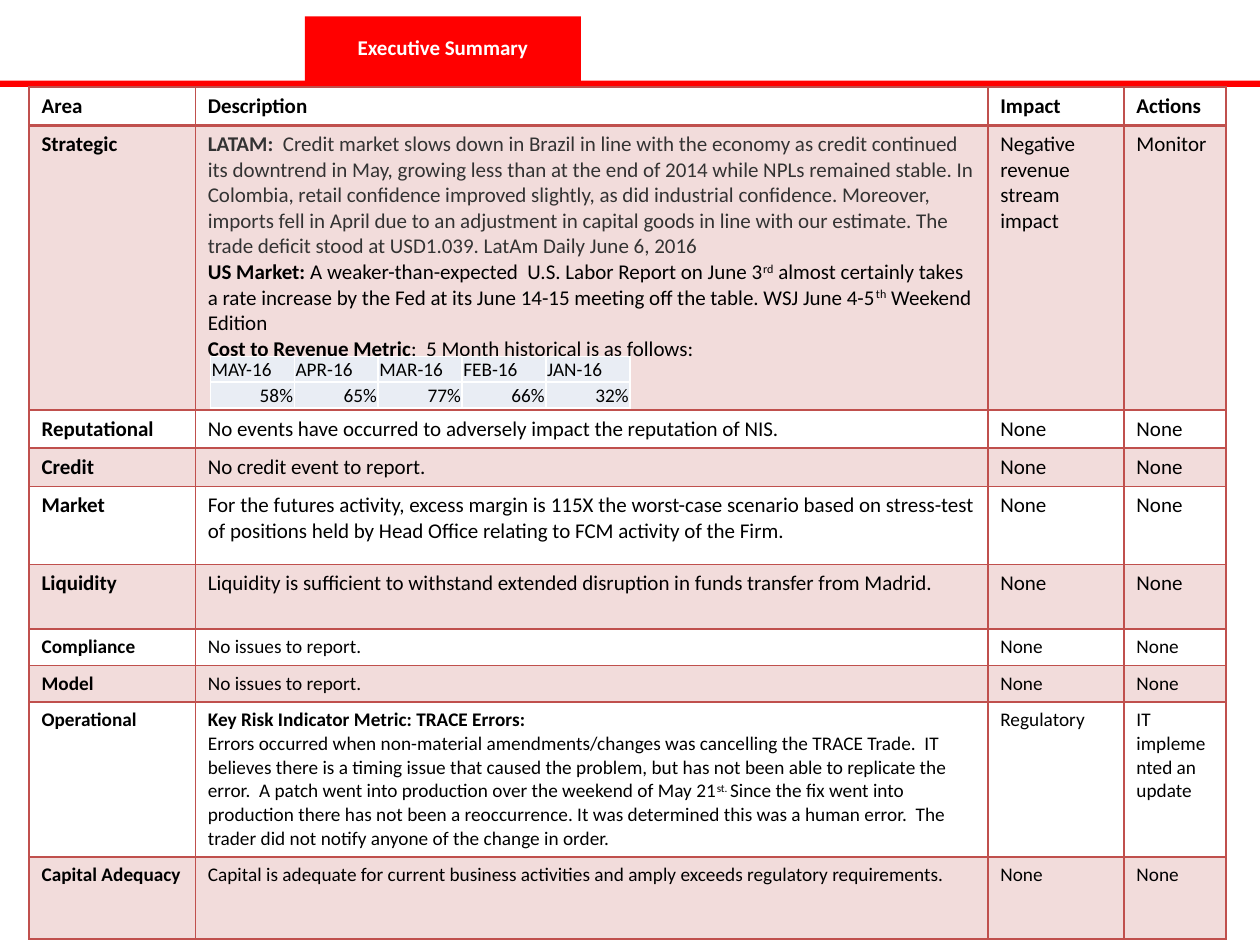
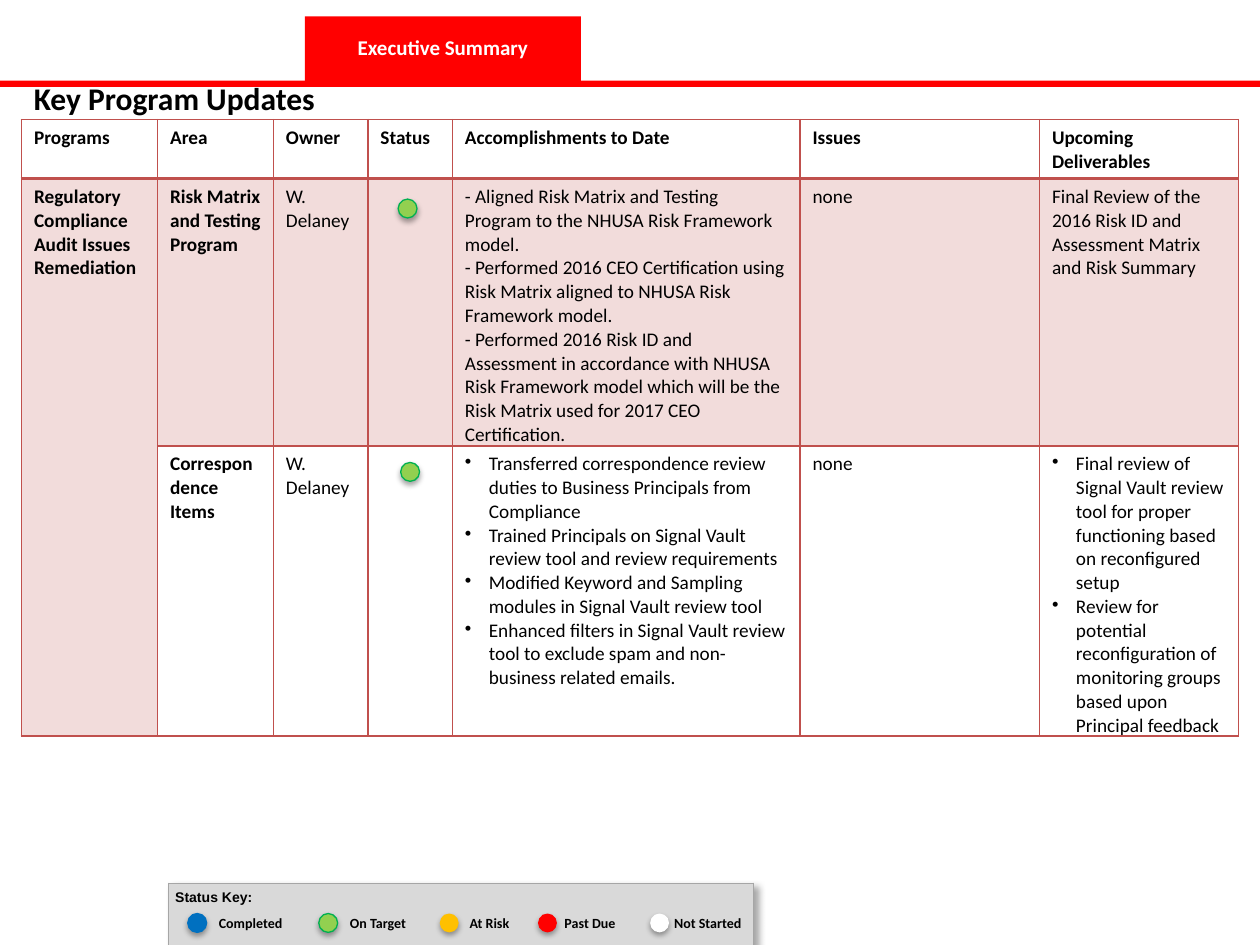
from dataclasses import dataclass

from lxml import etree
from pptx import Presentation
from pptx.dml.color import RGBColor
from pptx.enum.shapes import MSO_SHAPE
from pptx.enum.text import MSO_ANCHOR, MSO_AUTO_SIZE, PP_ALIGN
from pptx.oxml import parse_xml
from pptx.oxml.ns import nsdecls, qn
from pptx.util import Inches, Pt

RECTANGLE, ROUNDED = MSO_SHAPE.RECTANGLE, MSO_SHAPE.ROUNDED_RECTANGLE
MIDDLE, BOTTOM = MSO_ANCHOR.MIDDLE, MSO_ANCHOR.BOTTOM
LEFT, CENTER, RIGHT, JUSTIFY = PP_ALIGN.LEFT, PP_ALIGN.CENTER, PP_ALIGN.RIGHT, PP_ALIGN.JUSTIFY
FIT_SHAPE, NO_FIT = MSO_AUTO_SIZE.SHAPE_TO_FIT_TEXT, MSO_AUTO_SIZE.NONE
PLAIN_TABLE_STYLE = "{2D5ABB26-0587-4C30-8999-92F81FD0307C}"
TITLE_ONLY = 5


@dataclass(frozen=True)
class Theme:
    font: str = "Calibri"
    key_font: str = "Arial"
    black: str = "000000"
    white: str = "FFFFFF"
    red: str = "FF0000"
    rule: str = "C0504D"
    quote: str = "333333"
    metric_fill: str = "E9EDF4"
    key_fill: str = "D9D9D9"
    key_rule: str = "A6A6A6"
    blue: str = "0070C0"
    green: str = "92D050"
    green_line: str = "00B050"
    amber: str = "FFC000"
    heading: int = 18
    body: int = 12
    small: int = 11
    label: int = 8


THEME = Theme()
BOLD, REGULAR, RAISED = {"bold": True}, {"bold": False}, {"raised": True}

RISK_ROWS = [
    ["Area", "Description", "Impact", "Actions"],
    ["Strategic", [
        [("LATAM:  ", {"bold": True, "color": THEME.quote}),
         ("Credit market slows down in Brazil in line with the economy as credit continued its "
          "downtrend in May, growing less than at the end of 2014 while NPLs remained stable. In "
          "Colombia, retail confidence improved slightly, as did industrial confidence. Moreover, "
          "imports fell in April due to an adjustment in capital goods in line with our estimate. "
          "The trade deficit stood at USD1.039. LatAm Daily June 6, 2016", {"color": THEME.quote})],
        [("US Market: ", BOLD),
         ("A weaker-than-expected  U.S. Labor Report on June 3", {}), ("rd", RAISED),
         (" almost certainly takes a rate increase by the Fed at its June 14-15 meeting off the "
          "table. WSJ June 4-5", {}), ("th", RAISED), (" Weekend Edition", {})],
        [("Cost to Revenue Metric", BOLD), (":  5 Month historical is as follows:", {})],
    ], "Negative revenue stream impact", "Monitor"],
    ["Reputational", "No events have occurred to adversely impact the reputation of NIS.",
     "None", "None"],
    ["Credit", "No credit event to report.", "None", "None"],
    ["Market", "For the futures activity, excess margin is 115X the worst-case scenario based on "
     "stress-test of positions held by Head Office relating to FCM activity of the Firm.",
     "None", "None"],
    ["Liquidity", "Liquidity is sufficient to withstand extended disruption in funds transfer "
     "from Madrid.", "None", "None"],
    ["Compliance", "No issues to report.", "None", "None"],
    ["Model", "No issues to report.", "None", "None"],
    ["Operational", [
        [("Key Risk Indicator Metric: TRACE Errors:", BOLD)],
        [("Errors occurred when non-material amendments/changes was cancelling the TRACE Trade.  "
          "IT believes there is a timing issue that caused the problem, but has not been able to "
          "replicate the error.  A patch went into production over the weekend of May 21", {}),
         ("st. ", RAISED),
         ("Since the fix went into production there has not been a reoccurrence. It was determined "
          "this was a human error.  The trader did not notify anyone of the change in order.", {})],
    ], "Regulatory", "IT implemented an update"],
    ["Capital Adequacy", "Capital is adequate for current business activities and amply exceeds "
     "regulatory requirements.", "None", "None"],
]
RISK_HEIGHTS = [0.3, 2.26, 0.3, 0.3, 0.62, 0.51, 0.29, 0.29, 1.23, 0.65]
FIRST_SMALL_ROW = 6
JUSTIFIED_ROWS = (2, 4)

COST_ROWS = [["MAY-16", "APR-16", "MAR-16", "FEB-16", "JAN-16"],
             ["58%", "65%", "77%", "66%", "32%"]]

PROGRAM_ROWS = [
    ["Programs", "Area", "Owner", "Status", "Accomplishments to Date", "Issues",
     "Upcoming Deliverables"],
    ["Regulatory Compliance Audit Issues Remediation", "Risk Matrix and Testing Program",
     "W. Delaney", None,
     ["- Aligned Risk Matrix and Testing Program to the NHUSA Risk Framework model.",
      "- Performed 2016 CEO Certification using Risk Matrix aligned to NHUSA Risk Framework model.",
      "- Performed 2016 Risk ID and Assessment in accordance with NHUSA Risk Framework model which "
      "will be the Risk Matrix used for 2017 CEO Certification."],
     "none", "Final Review of the 2016 Risk ID and Assessment Matrix and Risk Summary"],
    [None, "Correspondence Items", "W. Delaney", None,
     ["Transferred correspondence review duties to Business Principals from Compliance",
      "Trained Principals on Signal Vault review tool and review requirements",
      "Modified Keyword and Sampling modules in Signal Vault review tool",
      "Enhanced filters in Signal Vault review tool to exclude spam and non-business related "
      "emails."],
     "none",
     ["Final review of Signal Vault review tool for proper functioning based on reconfigured setup",
      "Review for potential reconfiguration of monitoring groups based upon Principal feedback"]],
]
BULLET_ROW = 2

# label, fill, line, dot left, label left, label width, alignment
STATUS_KEY = [
    ("Completed", THEME.blue, THEME.blue, 1.49, 1.61, 0.76, CENTER),
    ("On Target", THEME.green, THEME.green_line, 2.53, 2.67, 0.66, CENTER),
    ("At Risk", THEME.amber, None, 3.49, 3.65, 0.47, CENTER),
    ("Past Due", THEME.red, None, 4.27, 4.48, 0.52, LEFT),
    ("Not Started", THEME.white, None, 5.16, 5.35, 0.63, LEFT),
]


def rgb(color):
    return RGBColor.from_string(color)


def add_bullet(paragraph):
    properties = paragraph._p.get_or_add_pPr()
    properties.set("marL", str(Inches(0.19)))
    properties.set("indent", str(-Inches(0.19)))
    etree.SubElement(properties, qn("a:buChar")).set("char", "•")


def write_text(frame, text, *, size=THEME.body, font=THEME.font, color=THEME.black, bold=False,
               align=LEFT, bullet=False, line_spacing=None):
    """Text is a string or a list of paragraphs, each a string or a list of (text, format) runs."""
    for index, content in enumerate([text] if isinstance(text, str) else text):
        paragraph = frame.add_paragraph() if index else frame.paragraphs[0]
        paragraph.alignment = align
        if line_spacing:
            paragraph.line_spacing = Pt(line_spacing)
        if bullet:
            add_bullet(paragraph)
        for words, changes in [(content, {})] if isinstance(content, str) else content:
            run = paragraph.add_run()
            run.text = words
            run.font.name = font
            run.font.size = Pt(size)
            run.font.bold = changes.get("bold", bold)
            run.font.color.rgb = rgb(changes.get("color", color))
            if changes.get("raised"):
                run._r.get_or_add_rPr().set("baseline", "30000")


def shadow_effect(blur, distance, degrees):
    return parse_xml(
        f'<a:effectLst {nsdecls("a")}><a:outerShdw blurRad="{Pt(blur)}" dist="{Pt(distance)}" '
        f'dir="{degrees * 60000}" rotWithShape="0"><a:srgbClr val="{THEME.black}">'
        f'<a:alpha val="35000"/></a:srgbClr></a:outerShdw></a:effectLst>')


def add_filled_shape(shapes, kind, left, top, width, height, fill, line=None):
    shape = shapes.add_shape(kind, Inches(left), Inches(top), Inches(width), Inches(height))
    shape.shadow.inherit = False
    shape.fill.solid()
    shape.fill.fore_color.rgb = rgb(fill)
    if line:
        shape.line.color.rgb = rgb(line)
        shape.line.width = Pt(0.75)
    else:
        shape.line.fill.background()
    return shape


def add_status_dot(shapes, left, top, fill, line=None):
    dot = add_filled_shape(shapes, ROUNDED, left, top, 0.15, 0.15, fill, line)
    dot.adjustments[0] = 0.5
    properties = dot._element.spPr
    properties.replace(properties.find(qn("a:effectLst")), shadow_effect(3.1, 1.8, 90))


def add_text_box(shapes, text, left, top, width, height, *, wrap=True, margin=None, anchor=None,
                 **text_format):
    box = shapes.add_textbox(Inches(left), Inches(top), Inches(width), Inches(height))
    frame = box.text_frame
    frame.word_wrap = wrap
    frame.auto_size = FIT_SHAPE
    if margin is not None:
        frame.margin_left = frame.margin_right = Inches(margin)
        frame.margin_top = frame.margin_bottom = Inches(margin)
    if anchor is not None:
        frame.vertical_anchor = anchor
    write_text(frame, text, **text_format)


def add_tabbed_slide(presentation, title_text):
    """Add a slide whose title is a red tab standing on a red band."""
    slide = presentation.slides.add_slide(presentation.slide_layouts[TITLE_ONLY])
    title = slide.shapes.title
    title.left, title.top = Inches(2.42), Inches(0.13)
    title.width, title.height = Inches(2.19), Inches(0.55)
    title._element.spPr.append(parse_xml(
        f'<a:prstGeom {nsdecls("a")} prst="roundRect"><a:avLst>'
        '<a:gd name="adj" fmla="val 10000"/></a:avLst></a:prstGeom>'))
    title.fill.solid()
    title.fill.fore_color.rgb = rgb(THEME.red)
    title.text_frame.auto_size = NO_FIT
    title.text_frame.vertical_anchor = MIDDLE
    write_text(title.text_frame, title_text, color=THEME.white, bold=True, align=CENTER,
               line_spacing=10)
    add_filled_shape(slide.shapes, RECTANGLE, 0, 0.64, 10, 0.05, THEME.red)
    return slide


def set_borders(cell, color, widths):
    """Draw the left, right, top and bottom borders, in that order."""
    for side, width in zip("LRTB", widths):
        cell._tc.get_or_add_tcPr().append(parse_xml(
            f'<a:ln{side} {nsdecls("a")} w="{Pt(width)}"><a:solidFill><a:srgbClr val="{color}"/>'
            f'</a:solidFill></a:ln{side}>'))


def set_cell_fill(cell, color, opacity=None):
    cell.fill.solid()
    cell.fill.fore_color.rgb = rgb(color)
    if opacity:
        tint = cell._tc.tcPr.find(qn("a:solidFill"))[0]
        etree.SubElement(tint, qn("a:alpha")).set("val", str(opacity * 1000))


def add_grid(slide, left, top, widths, heights, color, line_width=1, header_width=None):
    """Add an unstyled table with ruled cells; header_width thickens the line below row 0."""
    frame = slide.shapes.add_table(len(heights), len(widths), Inches(left), Inches(top),
                                   Inches(sum(widths)), Inches(sum(heights)))
    table = frame.table
    table.first_row = table.horz_banding = False
    table._tbl.tblPr.find(qn("a:tableStyleId")).text = PLAIN_TABLE_STYLE
    for column, width in zip(table.columns, widths):
        column.width = Inches(width)
    for index, (row, height) in enumerate(zip(table.rows, heights)):
        row.height = Inches(height)
        above = header_width if header_width and index == 1 else line_width
        below = header_width if header_width and index == 0 else line_width
        for cell in row.cells:
            set_borders(cell, color, (line_width, line_width, above, below))
    return table


def add_banded_table(slide, left, top, widths, heights, rows, bold_columns, format_for):
    """Fill a table with tinted odd rows; format_for(row, column) gives extra text format."""
    table = add_grid(slide, left, top, widths, heights, THEME.rule, header_width=2)
    for row_index, row in enumerate(rows):
        for column_index, text in enumerate(row):
            cell = table.cell(row_index, column_index)
            if row_index % 2:
                set_cell_fill(cell, THEME.rule, opacity=20)
            else:
                cell.fill.background()
            if text:
                write_text(cell.text_frame, text,
                           bold=row_index == 0 or column_index < bold_columns,
                           **format_for(row_index, column_index))
    return table


def risk_format(row, column):
    return {"size": THEME.small if row >= FIRST_SMALL_ROW else THEME.body,
            "align": JUSTIFY if column == 1 and row in JUSTIFIED_ROWS else LEFT}


def program_format(row, column):
    return {"size": THEME.small, "bullet": row == BULLET_ROW and column in (4, 6)}


def add_cost_table(slide):
    table = add_grid(slide, 1.67, 2.83, [3.33 / 5] * 5, [0.2, 0.21], THEME.white)
    for row_index, row in enumerate(COST_ROWS):
        for column_index, text in enumerate(row):
            cell = table.cell(row_index, column_index)
            cell.margin_left = cell.margin_right = cell.margin_top = Inches(0.01)
            cell.margin_bottom = 0
            cell.vertical_anchor = BOTTOM
            set_cell_fill(cell, THEME.metric_fill)
            write_text(cell.text_frame, text, size=THEME.small, align=RIGHT if row_index else LEFT)


def add_status_key(slide):
    table = add_grid(slide, 1.34, 7.01, [4.64], [0.5], THEME.key_rule, line_width=0.75)
    table._tbl.tblPr.insert(0, shadow_effect(4, 3, 45))
    cell = table.cell(0, 0)
    cell.margin_left = cell.margin_right = Inches(0.05)
    set_cell_fill(cell, THEME.key_fill)
    write_text(cell.text_frame, "Status Key:", size=THEME.label, font=THEME.key_font, bold=True)
    shapes = slide.shapes.add_group_shape().shapes
    for label, fill, line, dot_left, label_left, width, align in STATUS_KEY:
        add_status_dot(shapes, dot_left, 7.25, fill, line)
        add_text_box(shapes, label, label_left, 7.26, width, 0.13, margin=0, anchor=MIDDLE,
                     size=THEME.label, bold=True, align=align)


def main():
    presentation = Presentation()
    presentation.slide_width, presentation.slide_height = Inches(10), Inches(7.5)

    risks = add_tabbed_slide(presentation, "Executive Summary")
    add_banded_table(risks, 0.23, 0.69, [1.32, 6.29, 1.08, 0.81], RISK_HEIGHTS, RISK_ROWS, 1,
                     risk_format)
    add_cost_table(risks)

    programs = add_tabbed_slide(presentation, "Executive Summary")
    add_text_box(programs.shapes, "Key Program Updates", 0.17, 0.58, 2.45, 0.4, wrap=False,
                 size=THEME.heading, bold=True)
    table = add_banded_table(programs, 0.17, 0.95, [1.08, 0.92, 0.75, 0.67, 2.76, 1.9, 1.58],
                             [0.47, 2.12, 2.3], PROGRAM_ROWS, 2, program_format)
    for row_index in (1, 2):
        for cell in table.rows[row_index].cells:
            cell.margin_bottom = 0
    table.cell(1, 0).merge(table.cell(2, 0))
    add_status_key(programs)
    for left, top in ((3.16, 1.58), (3.18, 3.67)):
        add_status_dot(programs.shapes, left, top, THEME.green, THEME.green_line)

    presentation.save("out.pptx")


if __name__ == "__main__":
    main()
